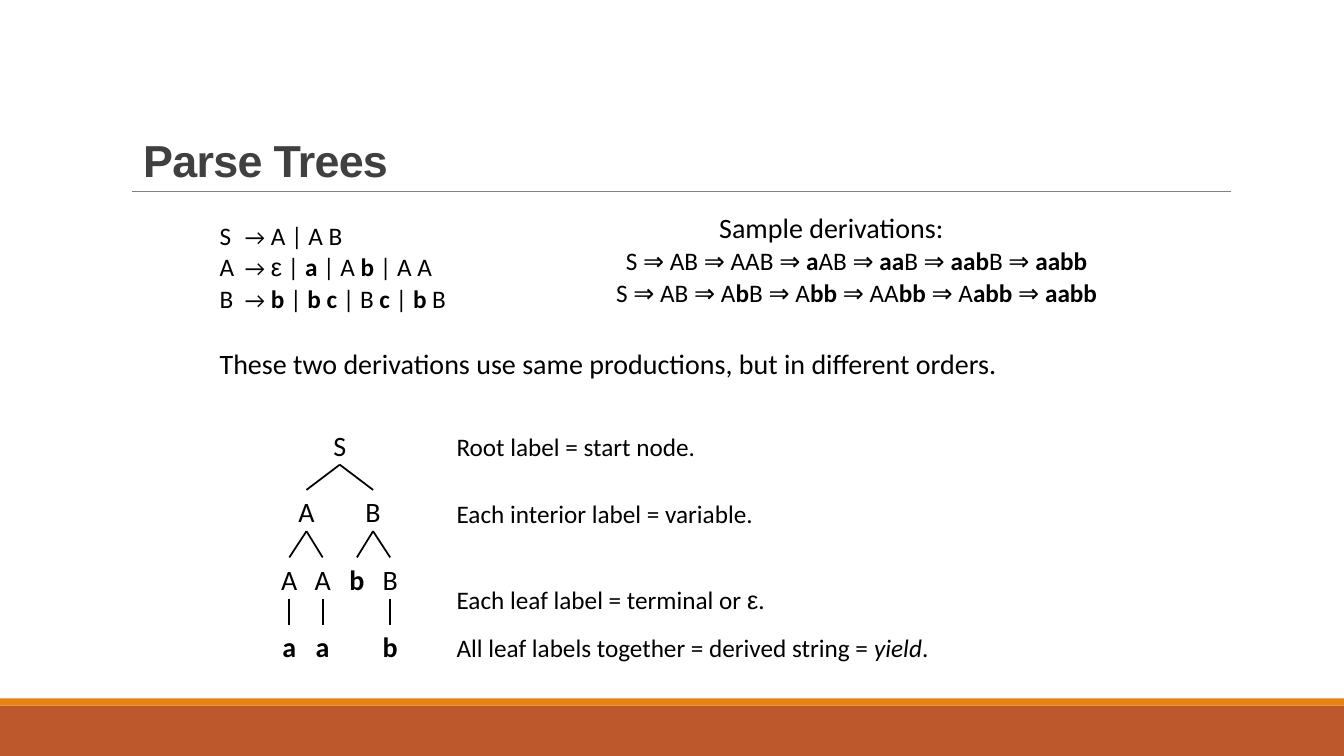
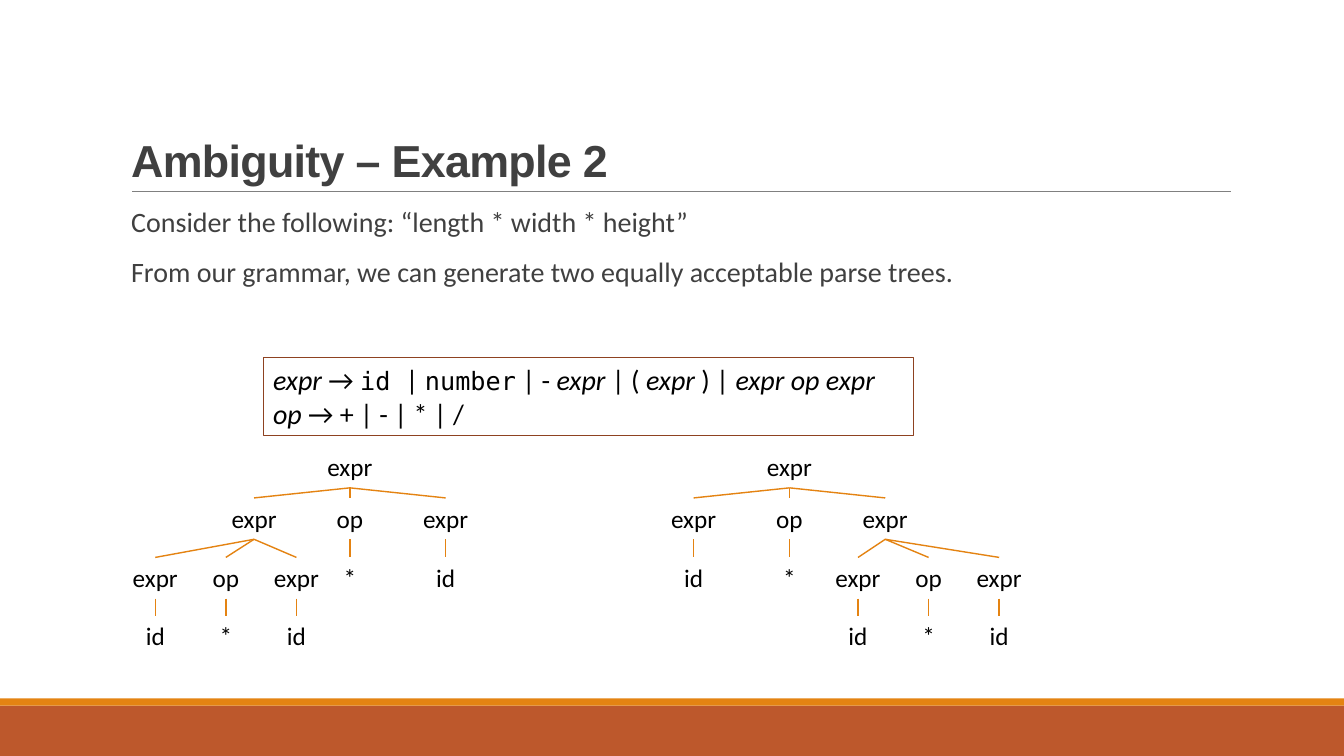
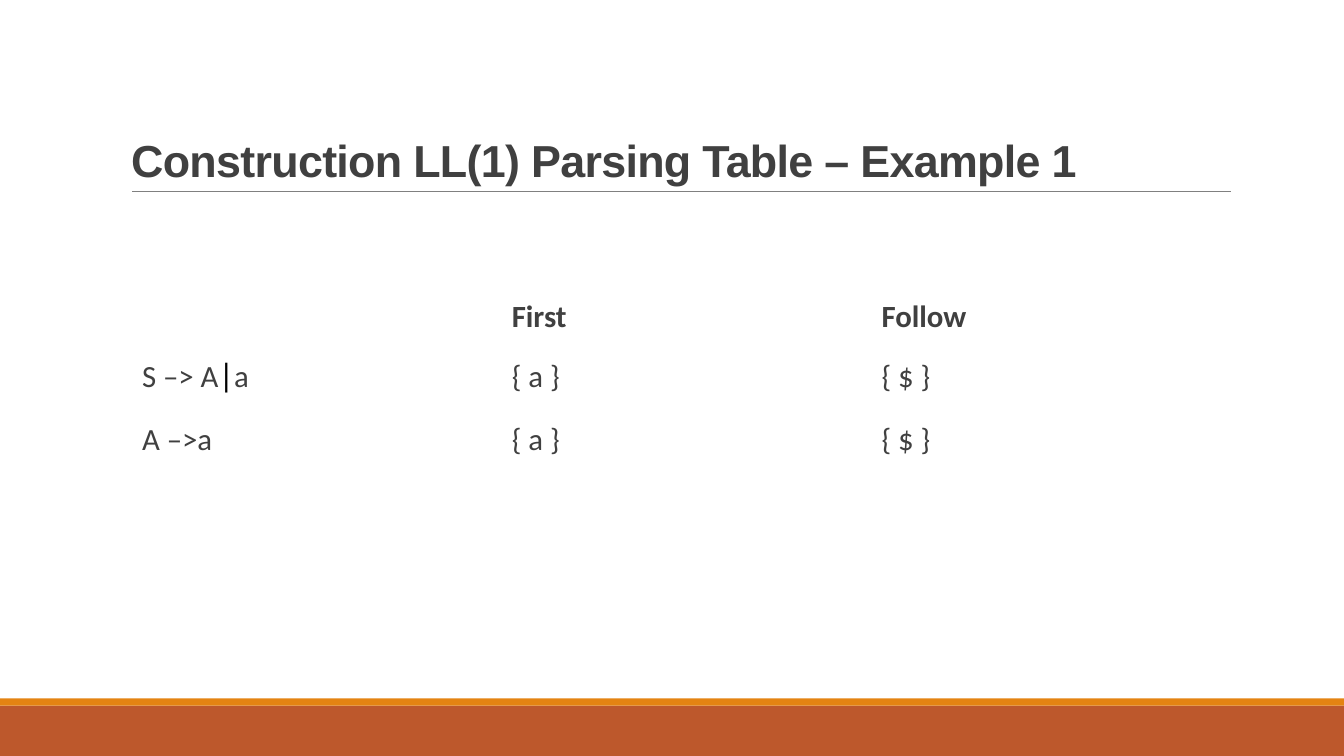
from pptx import Presentation, util as u
from pptx.dml.color import RGBColor
from pptx.enum import shapes, text
from pptx.oxml.ns import qn
from pptx.oxml.xmlchemy import OxmlElement

COLORS = {"rust": "BD582C", "orange": "E48312", "rule": "808080",
          "ink": "404040", "black": "000000", "frame": "8E4221", "white": "FFFFFF"}
COLORS = {name: RGBColor.from_string(value) for name, value in COLORS.items()}
BOLD, ITALIC = {"bold": True}, {"italic": True}
ARROW, GREEK = {"size": u.Pt(16)}, {"name": "Arial"}
MONO = {"name": "DejaVu Sans Mono", "size": u.Pt(18)}
LEFT, CENTER = text.PP_ALIGN.LEFT, text.PP_ALIGN.CENTER


def write(frame, lines, size, color="black", align=LEFT, spacing=None, before=0, tab=None):
    frame.word_wrap = True
    for index, runs in enumerate(lines):
        paragraph = frame.add_paragraph() if index else frame.paragraphs[0]
        paragraph.alignment = align
        if spacing:
            paragraph.line_spacing = spacing
        if index and before:
            paragraph.space_before = u.Pt(before)
        if tab:
            stops = OxmlElement("a:tabLst")
            stop = OxmlElement("a:tab")
            stop.set("pos", str(u.Inches(tab)))
            stop.set("algn", "l")
            stops.append(stop)
            paragraph._p.get_or_add_pPr().append(stops)
        paragraph.font.name = "Calibri"
        paragraph.font.size = u.Pt(size)
        paragraph.font.color.rgb = COLORS[color]
        for part in [runs] if isinstance(runs, str) else runs:
            content, style = (part, {}) if isinstance(part, str) else part
            run = paragraph.add_run()
            run.text = content
            for attribute, value in style.items():
                setattr(run.font, attribute, value)


def add_line(slide, x1, y1, x2, y2, color, width):
    line = slide.shapes.add_connector(
        shapes.MSO_CONNECTOR.STRAIGHT, *map(u.Inches, (x1, y1, x2, y2)))
    line.line.color.rgb = COLORS[color]
    line.line.width = u.Pt(width)
    line.element.find(qn("p:spPr")).append(OxmlElement("a:effectLst"))
    return line


presentation = Presentation()
presentation.slide_width, presentation.slide_height = u.Inches(13.33), u.Inches(7.5)
master = presentation.slide_master

for placeholder, top, height in zip(master.placeholders, (0.31, 2.02), (1.59, 4.4)):
    placeholder.left, placeholder.top = u.Inches(1.2), u.Inches(top)
    placeholder.width, placeholder.height = u.Inches(11), u.Inches(height)
master.placeholders[0].text_frame.vertical_anchor = text.MSO_ANCHOR.BOTTOM
master.placeholders[1].text_frame.margin_left = 0
master.placeholders[1].text_frame.margin_right = 0

slides = []
for heading, layout in (("Parse Trees", 5), ("Ambiguity – Example 2", 1),
                        ("Construction LL(1) Parsing Table – Example 1", 5)):
    slide = presentation.slides.add_slide(presentation.slide_layouts[layout])
    title = slide.shapes.title
    write(title.text_frame, [heading], 32, "ink", spacing=0.85)
    paragraph = title.text_frame.paragraphs[0]
    paragraph.font.name = "Arial"
    paragraph.font.bold = True
    for properties in title.element.iter(qn("a:defRPr")):
        properties.set("spc", "-50")
    slides.append(slide)
trees_slide, ambiguity_slide, table_slide = slides
trees_slide.shapes.title.text_frame.margin_left = u.Inches(0.22)

decorations = []
for top, height, color in ((7, 0.5, "rust"), (6.93, 0.07, "orange")):
    band = trees_slide.shapes.add_shape(
        shapes.MSO_SHAPE.RECTANGLE, 0, u.Inches(top), presentation.slide_width, u.Inches(height))
    band.fill.solid()
    band.fill.fore_color.rgb = COLORS[color]
    band.line.fill.background()
    band.shadow.inherit = False
    decorations.append(band)
decorations.append(add_line(trees_slide, 1.31, 1.9, 12.21, 1.9, "rule", 0.5))
for index, decoration in enumerate(decorations):
    next(decoration.element.iter(qn("p:cNvPr"))).set("id", str(101 + index))
    master.shapes.element.insert(2 + index, decoration.element)

grammar = [
    ["S\t", ("→", ARROW), " A | A B"],
    ["A\t", ("→", ARROW), " ", ("ε", GREEK), " | ", ("a", BOLD), " | A ", ("b", BOLD), " | A A"],
    ["B\t", ("→", ARROW), " ", ("b", BOLD), " | ", ("b c", BOLD), " | B ", ("c", BOLD),
     " | ", ("b ", BOLD), "B"],
]
derivations = [
    "Sample derivations:",
    ["S ⇒ AB ⇒ AAB ⇒ ", ("a", BOLD), "AB ⇒ ", ("aa", BOLD), "B ⇒ ", ("aab", BOLD),
     "B ⇒ ", ("aabb", BOLD)],
    ["S ⇒ AB ⇒ A", ("b", BOLD), "B ⇒ A", ("bb ", BOLD), "⇒ AA", ("bb ", BOLD),
     "⇒ A", ("abb ", BOLD), "⇒ ", ("aabb", BOLD)],
]
tight = {"spacing": 0.9, "before": 3}
notes = [
    (5, 2.08, 6.49, 1.07, derivations, 18, {"align": CENTER, **tight}),
    (2.08, 2.17, 2.82, 1.03, grammar, 18, {"tab": 0.25, **tight}),
    (2.08, 3.43, 7.99, 0.4,
     ["These two derivations use same productions, but in different orders."], 20, tight),
    (4.43, 4.23, 3.13, 0.4, ["Root label = start node."], 18, {}),
    (4.43, 4.89, 3.82, 0.4, ["Each interior label = variable."], 18, {}),
    (4.43, 5.78, 3.95, 0.37, [["Each leaf label = terminal or ", ("ε", GREEK), "."]], 18, tight),
    (4.43, 6.22, 6.05, 0.4,
     [["All leaf labels together = derived string = ", ("yield", ITALIC), "."]], 18, {}),
]
for left, top, width, height, lines, size, options in notes:
    box = trees_slide.shapes.add_textbox(*map(u.Inches, (left, top, width, height)))
    write(box.text_frame, lines, size, **options)
    if lines is derivations:
        box.text_frame.paragraphs[0].font.size = u.Pt(20)
        for paragraph in box.text_frame.paragraphs[1:]:
            paragraph._p.get_or_add_pPr().set("marL", str(u.Inches(0.5)))

body = ambiguity_slide.placeholders[1].text_frame
write(body, ["Consider the following: “length * width * height”",
             "From our grammar, we can generate two equally acceptable parse trees."],
      20, "ink", spacing=0.9, before=14)
for paragraph in body.paragraphs:
    properties = paragraph._p.get_or_add_pPr()
    properties.set("marL", str(u.Inches(0.1)))
    properties.set("indent", "0")
    properties.find(qn("a:defRPr")).addprevious(OxmlElement("a:buNone"))

derivation_nodes = [
    ("S", 3.37, 0, None), ("A", 3.04, 1, 3.37), ("B", 3.7, 1, 3.37),
    ("A", 2.87, 2, 3.04), ("A", 3.2, 2, 3.04), ("b", 3.54, 2, 3.7), ("B", 3.87, 2, 3.7),
    ("a", 2.87, 3, 2.87), ("a", 3.2, 3, 3.2), ("b", 3.87, 3, 3.87),
]
expression_nodes = []
for root, side, inner in ((3.47, -1, 2.24), (7.83, 1, 9.21)):
    expanded, plain = root + 0.95 * side, root - 0.95 * side
    expression_nodes += [("expr", root, 0, None), ("op", root, 1, root), ("*", root, 2, root),
                         ("expr", expanded, 1, root), ("expr", plain, 1, root),
                         ("id", plain, 2, plain)]
    for offset, label, leaf in ((-0.7, "expr", "id"), (0, "op", "*"), (0.7, "expr", "id")):
        expression_nodes += [(label, inner + offset, 2, expanded),
                             (leaf, inner + offset, 3, inner + offset)]

trees = [
    (trees_slide, derivation_nodes, (4.2, 4.86, 5.53, 6.2), 0.4, 20, "black", 1.25),
    (ambiguity_slide, expression_nodes, (4.43, 4.94, 5.53, 6.11), 0.7, 18, "orange", 1),
]
for slide, nodes, tops, width, size, color, weight in trees:
    for label, x, level, parent in nodes:
        top = tops[level]
        box = slide.shapes.add_textbox(*map(u.Inches, (x - width / 2, top, width, 0.4)))
        write(box.text_frame, [label], size, align=CENTER)
        if slide is trees_slide and label.islower():
            box.text_frame.paragraphs[0].font.bold = True
        if parent is not None:
            add_line(slide, parent, tops[level - 1] + 0.41, x, top, color, weight)

rules = ambiguity_slide.shapes.add_shape(
    shapes.MSO_SHAPE.RECTANGLE, *map(u.Inches, (2.61, 3.55, 6.45, 0.77)))
rules.fill.background()
rules.line.color.rgb = COLORS["frame"]
rules.line.width = u.Pt(0.75)
rules.shadow.inherit = False
rules.text_frame.vertical_anchor = text.MSO_ANCHOR.TOP
write(rules.text_frame, [
    [("expr ", ITALIC), "→ ", ("id ", MONO), "| ", ("number", MONO), " | - ", ("expr", ITALIC),
     " | ( ", ("expr", ITALIC), " ) | ", ("expr op expr", ITALIC)],
    [("op ", ITALIC), "→ + | - | * | /"],
], 20)

bar = ("|", {"size": u.Pt(24)})
rows = [
    ["", "First", "Follow"],
    [["S –> A", bar, "a"], "{ a }", "{ $ }"],
    ["A –>a", "{ a }", "{ $ }"],
]
table = table_slide.shapes.add_table(
    3, 3, *map(u.Inches, (1.33, 2.88, 11, 1.77))).table
table.first_row = table.horz_banding = False
for row, (height, values) in enumerate(zip((0.53, 0.64, 0.6), rows)):
    table.rows[row].height = u.Inches(height)
    for column, value in enumerate(values):
        cell = table.cell(row, column)
        cell.fill.solid()
        cell.fill.fore_color.rgb = COLORS["white"]
        cell.vertical_anchor = text.MSO_ANCHOR.MIDDLE
        cell.margin_left = cell.margin_right = u.Inches(0.08)
        cell.margin_top = cell.margin_bottom = u.Inches(0.12 if row else 0.08)
        if value:
            write(cell.text_frame, [value], 22, "ink")
            cell.text_frame.paragraphs[0].font.bold = row == 0
table.cell(1, 0).text_frame.paragraphs[0].runs[1].font.color.rgb = COLORS["black"]

presentation.save("out.pptx")
